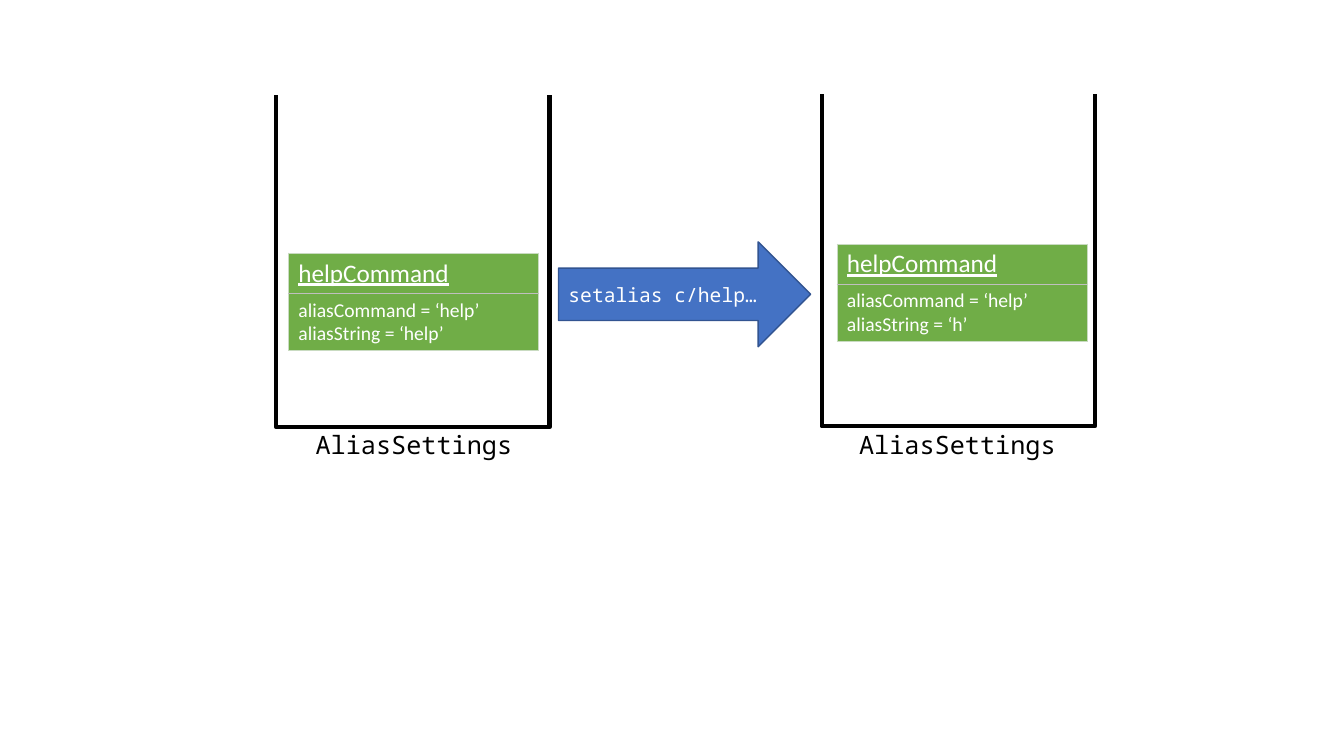
from lxml import etree
from pptx import Presentation
from pptx.dml.color import RGBColor
from pptx.enum import shapes, text
from pptx.oxml import ns
from pptx.util import Inches, Pt

SANS, MONO = "Calibri", "Noto Sans Mono"
BLACK = RGBColor(0, 0, 0)
WHITE = RGBColor(0xFF, 0xFF, 0xFF)
BLUE = RGBColor(0x44, 0x72, 0xC4)
DARK_BLUE = RGBColor(0x32, 0x54, 0x91)
GREEN = RGBColor(0x70, 0xAD, 0x47)
PALE_GREEN = RGBColor(0xC9, 0xDB, 0xC1)
GREY = RGBColor(0xBF, 0xBF, 0xBF)

ARROW_TEXT = "setalias c/help…"
LABEL = "AliasSettings"
# Places are (left, top) in inches
STATES = [
    {"container": (2.74, 0.68), "label": (2.76, 4.21), "table": (2.86, 2.51),
     "title": "helpCommand",
     "fields": ["aliasCommand = ‘help’", "aliasString = ‘help’"]},
    {"container": (8.15, 0.67), "label": (8.15, 4.21), "table": (8.3, 2.42),
     "title": "helpCommand",
     "fields": ["aliasCommand = ‘help’", "aliasString = ‘h’"]},
]
ROW_HEIGHTS = (0.4, 0.57)
TABLE_WIDTH = 2.48


def set_font(paragraph, name, size, color):
    paragraph.font.name = name
    paragraph.font.size = Pt(size)
    paragraph.font.color.rgb = color


def add_box(parent, kind, place, fill, line, line_width):
    shape = parent.add_shape(kind, *map(Inches, place))
    shape.shadow.inherit = False
    shape.fill.solid()
    shape.fill.fore_color.rgb = fill
    shape.line.color.rgb = line
    shape.line.width = Pt(line_width)
    return shape


def add_container(slide, left, top):
    """Draw a box whose top edge is masked, so that it looks open."""
    group = slide.shapes.add_group_shape().shapes
    rectangle = shapes.MSO_SHAPE.RECTANGLE
    add_box(group, rectangle, (left, top, 2.71, 3.56), WHITE, BLACK, 3)
    add_box(group, rectangle, (left - 0.23, top - 0.17, 3.11, 0.43), WHITE, WHITE, 1)


def add_label(slide, left, top):
    box = slide.shapes.add_textbox(*map(Inches, (left, top, 2.69, 0.4)))
    box.text_frame.word_wrap = True
    paragraph = box.text_frame.paragraphs[0]
    paragraph.text = LABEL
    paragraph.alignment = text.PP_ALIGN.CENTER
    set_font(paragraph, MONO, 18, BLACK)


def add_borders(cell, inner_side):
    """Border a cell; the side shared by both rows is grey and thicker."""
    properties = cell._tc.get_or_add_tcPr()
    for side in ("lnL", "lnR", "lnT", "lnB"):
        color, width = (GREY, 1) if side == inner_side else (PALE_GREEN, 0.5)
        line = etree.SubElement(properties, ns.qn("a:" + side), w=str(Pt(width)))
        fill = etree.SubElement(line, ns.qn("a:solidFill"))
        etree.SubElement(fill, ns.qn("a:srgbClr"), val=str(color))


def add_object_table(slide, left, top, title, fields):
    place = map(Inches, (left, top, TABLE_WIDTH, sum(ROW_HEIGHTS)))
    table = slide.shapes.add_table(2, 1, *place).table
    table.first_row = table.horz_banding = False
    rows = [(title, 18, True, "lnB"), ("\n".join(fields), 14, False, "lnT")]
    for index, (content, size, underline, inner_side) in enumerate(rows):
        table.rows[index].height = Inches(ROW_HEIGHTS[index])
        cell = table.cell(index, 0)
        add_borders(cell, inner_side)
        cell.fill.solid()
        cell.fill.fore_color.rgb = GREEN
        cell.text = content
        for paragraph in cell.text_frame.paragraphs:
            set_font(paragraph, SANS, size, WHITE)
            paragraph.font.underline = underline


def add_arrow(slide):
    arrow = add_box(slide.shapes, shapes.MSO_SHAPE.RIGHT_ARROW,
                    (5.54, 2.4, 2.5, 1.04), BLUE, DARK_BLUE, 1)
    arrow.text_frame.vertical_anchor = text.MSO_ANCHOR.MIDDLE
    paragraph = arrow.text_frame.paragraphs[0]
    paragraph.text = ARROW_TEXT
    paragraph.alignment = text.PP_ALIGN.LEFT
    set_font(paragraph, MONO, 14, WHITE)


def main():
    presentation = Presentation()
    presentation.slide_width = Inches(13.33)
    presentation.slide_height = Inches(7.5)
    slide = presentation.slides.add_slide(presentation.slide_layouts[6])
    add_arrow(slide)
    for state in STATES:
        add_container(slide, *state["container"])
        add_label(slide, *state["label"])
        add_object_table(slide, *state["table"], state["title"], state["fields"])
    presentation.save("out.pptx")


if __name__ == "__main__":
    main()
